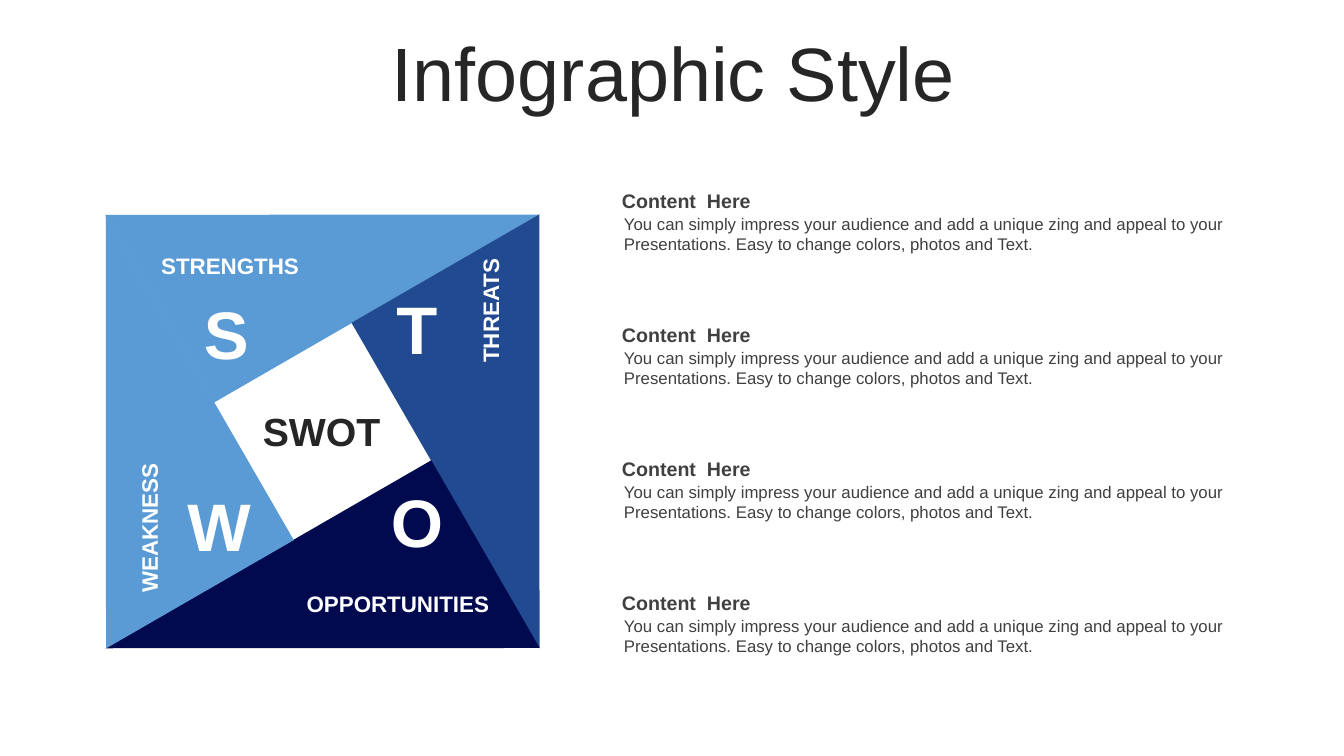
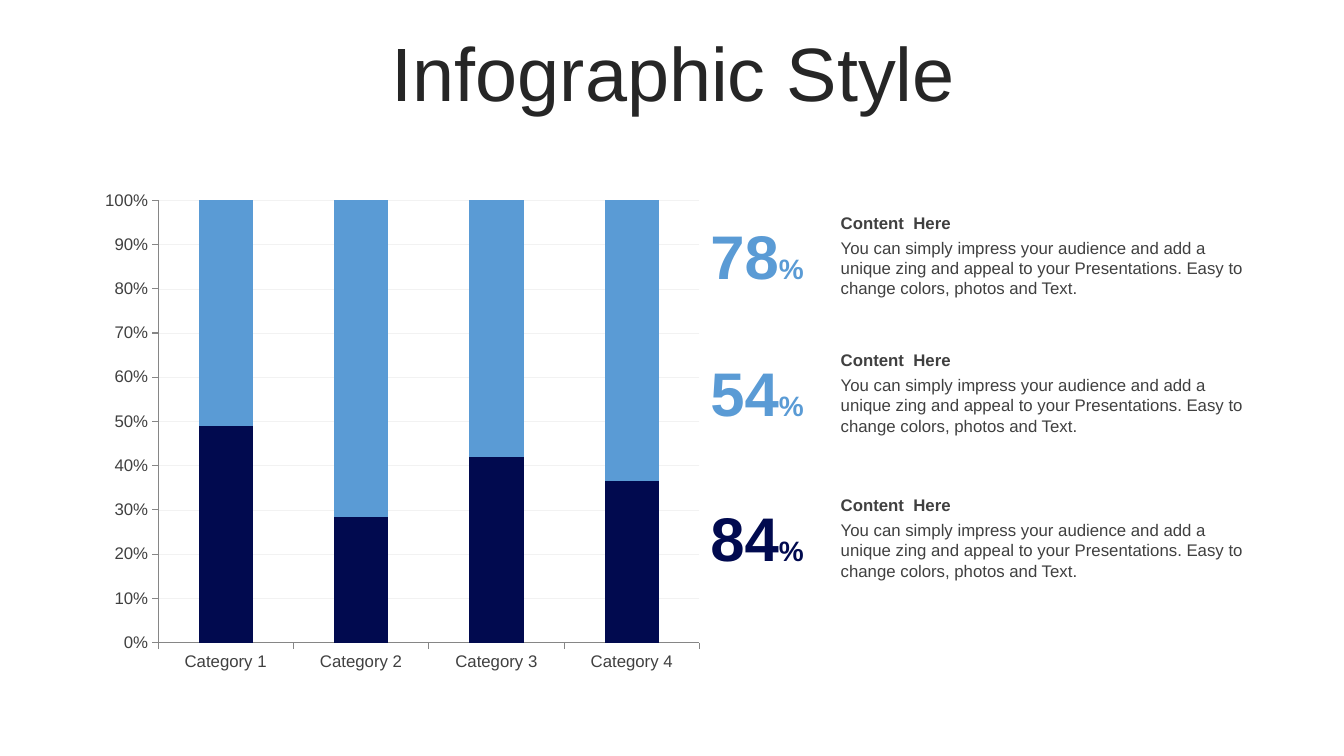
import math
from dataclasses import dataclass

from pptx import Presentation
from pptx import util as u
from pptx.chart import data as chart_data
from pptx.dml import color as dml
from pptx.enum import chart as charts, shapes, text

COLORS = {
    "light": "5A9BD5", "medium": "224A90", "dark": "010A4F", "white": "FFFFFF",
    "title": "262626", "body": "404040", "grid": "F2F2F2", "axis": "868686",
}
FONT = "Arial"
TITLE = "Infographic Style"
HEADING = "Content  Here"
BODY = ("You can simply impress your audience and add a unique zing and appeal to your "
        "Presentations. Easy to change colors, photos and Text.")
LEFT, CENTER, RIGHT = text.PP_ALIGN.LEFT, text.PP_ALIGN.CENTER, text.PP_ALIGN.RIGHT
TOP, MIDDLE = text.MSO_ANCHOR.TOP, text.MSO_ANCHOR.MIDDLE


@dataclass
class Box:
    left: float
    top: float
    width: float
    height: float

    def lengths(self) -> list:
        return [u.Inches(value) for value in (self.left, self.top, self.width, self.height)]


@dataclass
class Run:
    words: str
    size: float
    color: str
    bold: bool = False


@dataclass
class Quarter:
    color: str
    letter: str
    letter_left: float
    letter_top: float
    label: str
    label_box: Box
    align: text.PP_ALIGN
    rotation: float = 0


@dataclass
class Figure:
    number: str
    color: str
    top: float


QUARTERS = [
    Quarter("light", "S", 1.85, 2.79, "STRENGTHS", Box(1.5, 2.45, 2.25, 0.37), LEFT),
    Quarter("medium", "T", 3.74, 2.74, "THREATS", Box(4, 3.15, 1.73, 0.37), RIGHT, 270),
    Quarter("dark", "O", 3.74, 4.65, "OPPORTUNITIES", Box(2.78, 5.81, 2.17, 0.37), RIGHT),
    Quarter("light", "W", 1.76, 4.69, "WEAKNESS", Box(0.57, 4.88, 1.82, 0.37), LEFT, 270),
]
FIGURES = [Figure("78", "light", 2.06), Figure("54", "light", 3.42), Figure("84", "dark", 4.86)]
CATEGORIES = [f"Category {number}" for number in range(1, 5)]
SERIES = [
    ("Series 1", (49, 28, 42, 37), "dark"),
    ("Series 2", (28, 49, 22, 23), "light"),
    ("Series 3", (23, 22, 36, 41), "light"),
]


def rgb(name: str) -> dml.RGBColor:
    return dml.RGBColor.from_string(COLORS[name])


def set_font(font, size: float, color: str, bold: bool = False) -> None:
    formats = {"name": FONT, "size": u.Pt(size), "bold": bold}
    for attribute, value in formats.items():
        setattr(font, attribute, value)
    font.color.rgb = rgb(color)


def add_text(slide, box: Box, runs: list[Run], align=LEFT, anchor=TOP,
             rotation: float = 0, line_spacing: float = 1.0) -> None:
    shape = slide.shapes.add_textbox(*box.lengths())
    shape.rotation = rotation
    frame = shape.text_frame
    paragraph = frame.paragraphs[0]
    for target, formats in (
        (frame, {"word_wrap": True, "vertical_anchor": anchor}),
        (paragraph, {"alignment": align, "line_spacing": line_spacing}),
    ):
        for attribute, value in formats.items():
            setattr(target, attribute, value)
    for item in runs:
        run = paragraph.add_run()
        run.text = item.words
        set_font(run.font, item.size, item.color, item.bold)


def add_titled_slide(presentation):
    slide = presentation.slides.add_slide(presentation.slide_layouts[6])
    add_text(slide, Box(0.35, 0.37, 12.66, 0.79), [Run(TITLE, 54, "title")],
             CENTER, MIDDLE, line_spacing=0.9)
    return slide


def add_content(slide, heading: Box, heading_size: float, body: Box) -> None:
    add_text(slide, heading, [Run(HEADING, heading_size, "body", True)], anchor=MIDDLE)
    add_text(slide, body, [Run(BODY, 12, "body")])


def add_triangle(slide, index: int, color: str) -> None:
    width, height, radius = 3.73, 2.15, 2.15
    angle = math.radians(90 * index - 90)
    box = Box(3.2 + radius * math.cos(angle) - width / 2,
              4.28 + radius * math.sin(angle) - height / 2, width, height)
    shape = slide.shapes.add_shape(shapes.MSO_SHAPE.RIGHT_TRIANGLE, *box.lengths())
    shape.rotation = (330 + 90 * index) % 360
    shape.shadow.inherit = False
    shape.fill.solid()
    shape.fill.fore_color.rgb = rgb(color)
    shape.line.fill.background()


def build_swot(presentation) -> None:
    slide = add_titled_slide(presentation)
    for index, quarter in enumerate(QUARTERS):
        add_triangle(slide, index, quarter.color)
    for quarter in QUARTERS:
        add_text(slide, Box(quarter.letter_left, quarter.letter_top, 0.79, 1.02),
                 [Run(quarter.letter, 48, "white", True)], CENTER, MIDDLE)
        add_text(slide, quarter.label_box, [Run(quarter.label, 16, "white", True)],
                 quarter.align, rotation=quarter.rotation)
    add_text(slide, Box(2.47, 3.99, 1.44, 0.58), [Run("SWOT", 28, "title", True)], CENTER)
    for row in range(4):
        top = 1.82 + 1.33 * row
        add_content(slide, Box(6.07, top, 6.22, 0.34), 14, Box(6.09, top + 0.25, 6.19, 0.5))


def add_stacked_chart(slide) -> None:
    data = chart_data.CategoryChartData()
    data.categories = CATEGORIES
    for name, values, _ in SERIES:
        data.add_series(name, values)
    chart = slide.shapes.add_chart(charts.XL_CHART_TYPE.COLUMN_STACKED_100,
                                   *Box(0.92, 1.8, 6.14, 4.95).lengths(), data).chart
    chart.has_legend = False
    chart.has_title = False
    set_font(chart.font, 12, "body")
    plot = chart.plots[0]
    for attribute, value in {"gap_width": 150, "overlap": 100, "vary_by_categories": False}.items():
        setattr(plot, attribute, value)
    for series, (_, _, color) in zip(plot.series, SERIES):
        series.format.fill.solid()
        series.format.fill.fore_color.rgb = rgb(color)
    for axis in (chart.category_axis, chart.value_axis):
        axis.major_tick_mark = charts.XL_TICK_MARK.OUTSIDE
        axis.format.line.color.rgb = rgb("axis")
        axis.format.line.width = u.Pt(0.75)
        set_font(axis.tick_labels.font, 12, "body")
    value_axis = chart.value_axis
    for attribute, value in {"minimum_scale": 0, "maximum_scale": 1, "major_unit": 0.1,
                             "has_major_gridlines": True}.items():
        setattr(value_axis, attribute, value)
    value_axis.tick_labels.number_format = "0%"
    value_axis.tick_labels.number_format_is_linked = False
    grid_line = value_axis.major_gridlines.format.line
    grid_line.color.rgb = rgb("grid")
    grid_line.width = u.Pt(0.25)


def build_chart(presentation) -> None:
    slide = add_titled_slide(presentation)
    add_stacked_chart(slide)
    for figure in FIGURES:
        add_content(slide, Box(8.24, figure.top, 4.27, 0.3), 12,
                    Box(8.24, figure.top + 0.25, 4.27, 0.71))
        add_text(slide, Box(6.93, figure.top + 0.05, 1.16, 0.84),
                 [Run(figure.number, 44, figure.color, True), Run("%", 20, figure.color, True)],
                 CENTER, MIDDLE)


def main() -> None:
    presentation = Presentation()
    presentation.slide_width = u.Inches(13.33)
    presentation.slide_height = u.Inches(7.5)
    build_swot(presentation)
    build_chart(presentation)
    presentation.save("out.pptx")


if __name__ == "__main__":
    main()
